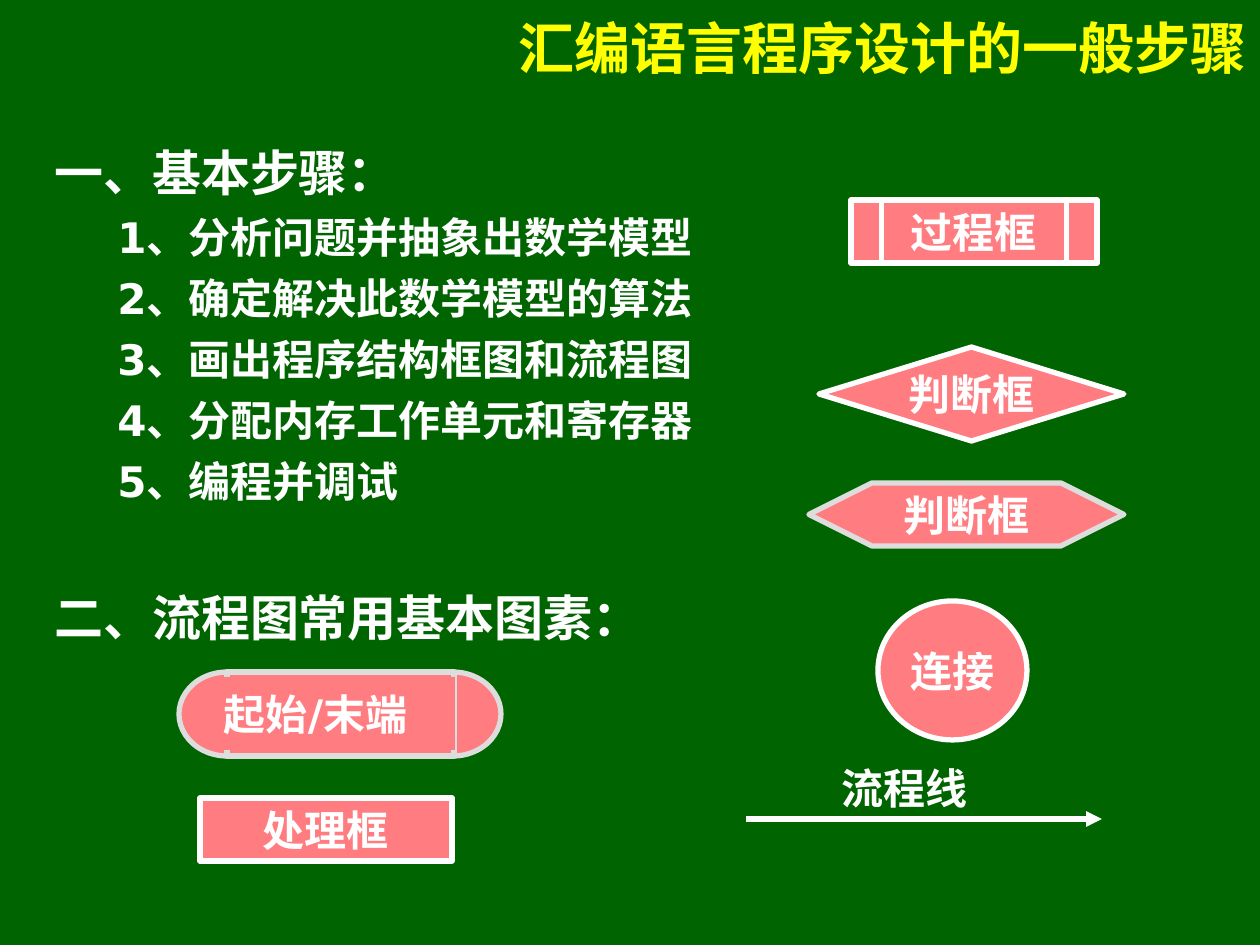
from dataclasses import dataclass

from lxml import etree
from pptx import Presentation
from pptx.dml.color import RGBColor
from pptx.enum.shapes import MSO_CONNECTOR, MSO_SHAPE
from pptx.enum.text import MSO_ANCHOR, MSO_AUTO_SIZE, PP_ALIGN
from pptx.oxml.ns import qn
from pptx.util import Emu, Pt

LEFT, CENTER, RIGHT = PP_ALIGN.LEFT, PP_ALIGN.CENTER, PP_ALIGN.RIGHT
MIDDLE, TOP = MSO_ANCHOR.MIDDLE, MSO_ANCHOR.TOP
RECT, OVAL = MSO_SHAPE.RECTANGLE, MSO_SHAPE.OVAL
PX = 914400 / 126


@dataclass(frozen=True)
class Theme:
    font: str = "DejaVu Sans"
    background: RGBColor = RGBColor(0x00, 0x64, 0x00)
    yellow: RGBColor = RGBColor(0xFF, 0xFF, 0x00)
    white: RGBColor = RGBColor(0xFF, 0xFF, 0xFF)
    gray: RGBColor = RGBColor(0xDD, 0xDD, 0xDD)
    pink: RGBColor = RGBColor(0xFF, 0x7C, 0x80)
    title: int = 32
    heading: int = 28
    text: int = 24
    line: int = 3


T = Theme()


def write(p, text, size=T.text, color=T.white, align=LEFT):
    p.alignment = align
    r = p.add_run()
    r.text = text
    r.font.size, r.font.bold, r.font.name = Pt(size), True, T.font
    r.font.color.rgb = color
    etree.SubElement(r.font._element, qn("a:ea"), typeface=T.font)


def add_symbol(shapes, kind, box, outline=None):
    sp = shapes.add_shape(kind, *[Emu(round(v * PX)) for v in box])
    sp.shadow.inherit = False
    sp.fill.solid()
    sp.fill.fore_color.rgb = T.pink
    if outline is None:
        sp.line.fill.background()
    else:
        sp.line.color.rgb = outline
        sp.line.width = Pt(T.line)
    return sp


prs = Presentation()
prs.slide_width, prs.slide_height = Emu(round(1260 * PX)), Emu(round(945 * PX))
s = prs.slides.add_slide(prs.slide_layouts[5])
s.background.fill.solid()
s.background.fill.fore_color.rgb = T.background

# Title
title = s.shapes.title
title.left, title.top, title.width, title.height = [
    Emu(round(v * PX)) for v in (483, 0, 777, 95)]
tf = title.text_frame
tf.auto_size, tf.vertical_anchor = MSO_AUTO_SIZE.NONE, MIDDLE
write(tf.paragraphs[0], "汇编语言程序设计的一般步骤", T.title, T.yellow, RIGHT)

# Outline: text, size, indent in px, space before in points
outline = [
    ("一、基本步骤：", T.heading, 0, 0),
    ("1、分析问题并抽象出数学模型", T.text, 63, 6),
    ("2、确定解决此数学模型的算法", T.text, 63, 6),
    ("3、画出程序结构框图和流程图", T.text, 63, 6),
    ("4、分配内存工作单元和寄存器", T.text, 63, 6),
    ("5、编程并调试", T.text, 63, 6),
    ("二、流程图常用基本图素：", T.heading, 0, 47),
]
tf = s.shapes.add_textbox(*[Emu(round(v * PX)) for v in (42, 136, 683, 567)]).text_frame
tf.word_wrap, tf.vertical_anchor = True, TOP
for i, (text, size, indent, before) in enumerate(outline):
    p = tf.add_paragraph() if i else tf.paragraphs[0]
    p._p.get_or_add_pPr().set("marL", str(round(indent * PX)))
    p.space_before = Pt(before)
    write(p, text, size)

# Start/end symbol: two round ends, a body and a label that hides the seams
terminator = s.shapes.add_group_shape()
for kind, box in [(OVAL, (179, 672, 96, 84)), (OVAL, (405, 672, 96, 84)),
                  (RECT, (227, 672, 227, 84))]:
    add_symbol(terminator.shapes, kind, box, T.gray)
tf = add_symbol(terminator.shapes, RECT, (217, 677, 238, 73)).text_frame
tf.margin_left, tf.margin_right = Emu(round(7 * PX)), Emu(round(3 * PX))
write(tf.paragraphs[0], "起始/末端")

# Single-piece flowchart symbols
symbols = [
    ("处理框", RECT, (200, 798, 252, 63), T.white),
    ("过程框", MSO_SHAPE.FLOWCHART_PREDEFINED_PROCESS, (851, 200, 246, 63), T.white),
    ("判断框", MSO_SHAPE.FLOWCHART_DECISION, (819, 347, 305, 94), T.white),
    ("判断框", MSO_SHAPE.FLOWCHART_PREPARATION, (809, 483, 315, 63), T.gray),
    ("连接", MSO_SHAPE.FLOWCHART_CONNECTOR, (878, 601, 149, 139), T.white),
]
for text, kind, box, color in symbols:
    tf = add_symbol(s.shapes, kind, box, color).text_frame
    tf.word_wrap, tf.vertical_anchor = False, MIDDLE
    write(tf.paragraphs[0], text, align=CENTER)

# Flow line and its label
arrow = s.shapes.add_connector(
    MSO_CONNECTOR.STRAIGHT, *[Emu(round(v * PX)) for v in (746, 819, 1102, 819)])
arrow.line.color.rgb = T.white
arrow.line.width = Pt(T.line)
etree.SubElement(arrow.line._get_or_add_ln(), qn("a:tailEnd"), type="triangle")
etree.SubElement(arrow._element.spPr, qn("a:effectLst"))

tf = s.shapes.add_textbox(*[Emu(round(v * PX)) for v in (829, 756, 158, 63)]).text_frame
tf.word_wrap, tf.vertical_anchor = True, MIDDLE
write(tf.paragraphs[0], "流程线")

prs.save("out.pptx")
